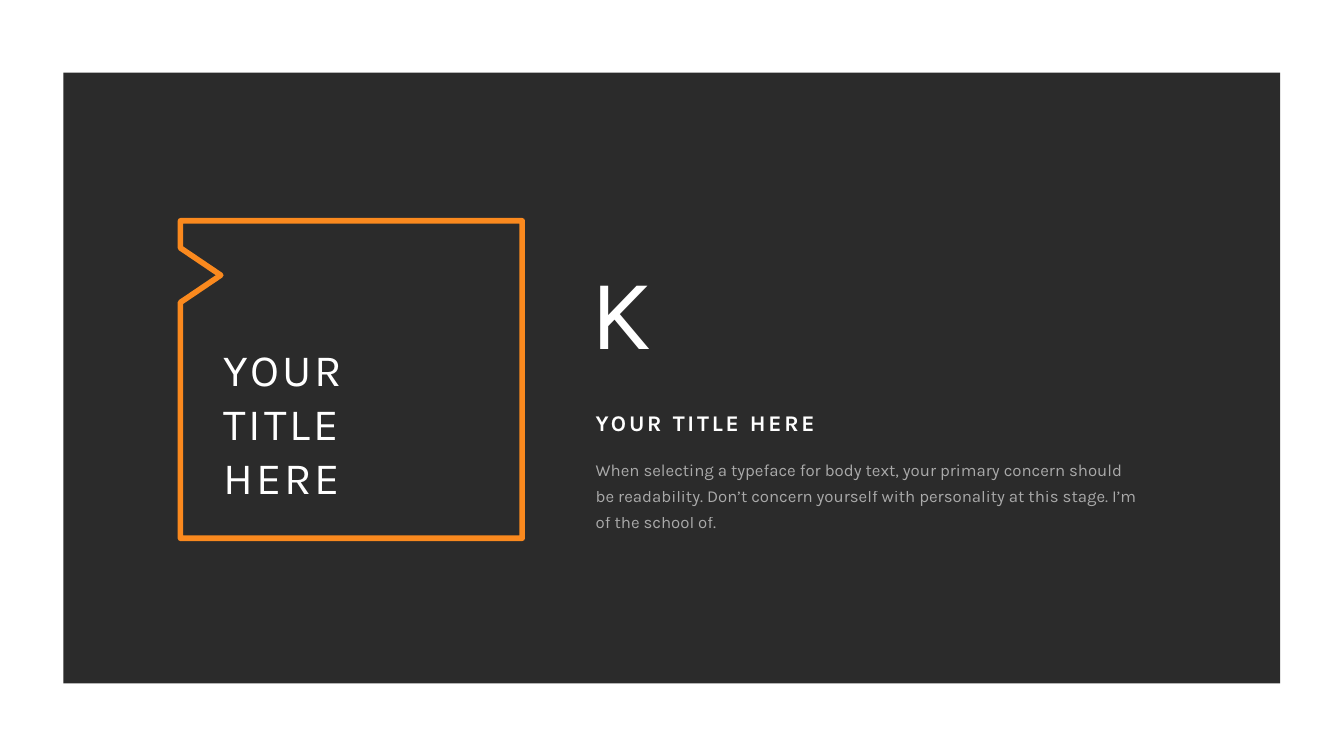
import pptx
import pptx.util
import pptx.dml.color
import pptx.enum.shapes
import pptx.enum.text
import lxml.etree

COLOURS = {"panel": "2B2B2B", "accent": "FA891E", "text": "FFFFFF"}
FONT = "Karla"
CELL = pptx.util.Inches(0.1)  # the grid has square cells
COLUMNS, ROWS = 133.33, 75


def cells(*counts):
    return [round(count * CELL) for count in counts]


def colour(name):
    return pptx.dml.color.RGBColor.from_string(COLOURS[name])


deck = pptx.Presentation()
deck.slide_width, deck.slide_height = cells(COLUMNS, ROWS)
page = deck.slides.add_slide(deck.slide_layouts[1])
title, body = page.placeholders

# Dark panel
panel = page.shapes.add_shape(
    pptx.enum.shapes.MSO_SHAPE.RECTANGLE, *cells(6.3, 7.2, 120.7, 60.6))
panel.fill.solid()
panel.fill.fore_color.rgb = colour("panel")
panel.line.fill.background()
panel.shadow.inherit = False

# Notched frame around the title
left, top, right, bottom = 17.9, 21.9, 51.8, 53.4
notch_top, notch_depth, notch_half = 24.6, 4, 2.7
outline = [
    (right, top), (right, bottom), (left, bottom),
    (left, notch_top + 2 * notch_half),
    (left + notch_depth, notch_top + notch_half),
    (left, notch_top),
]
builder = page.shapes.build_freeform(*cells(left, top))
builder.add_line_segments([cells(*point) for point in outline], close=True)
frame = builder.convert_to_shape()
frame.fill.background()
frame.line.color.rgb = colour("accent")
frame.line.width = pptx.util.Pt(4)
frame.shadow.inherit = False

# Texts, stacked above the panel
heading = page.shapes.add_textbox(0, 0, 0, 0)
letter = page.shapes.add_textbox(0, 0, 0, 0)
texts = [
    {"box": title, "at": (21.2, 33.4, 19.8, 17.2), "words": "YOUR TITLE HERE",
     "size": 32, "tracking": 2},
    {"box": body, "at": (58.1, 44.5, 56.1, 8.9),
     "words": "When selecting a typeface for body text, your primary concern "
              "should be readability. Don’t concern yourself with personality "
              "at this stage. I’m of the school of.",
     "size": 12, "spacing": 1.3, "opacity": 60},
    {"box": heading, "at": (58.1, 40.4, 56.1, 4.1), "words": "YOUR TITLE HERE",
     "size": 16, "spacing": 0.9, "bold": True, "tracking": 2},
    {"box": letter, "at": (57.6, 24.2, 8.4, 13.1), "words": "K",
     "size": 72, "wrap": False},
]
for text in texts:
    box = text["box"]
    box.left, box.top, box.width, box.height = cells(*text["at"])
    page.shapes.element.append(box.element)

    frame_format = {
        "word_wrap": text.get("wrap", True),
        "auto_size": pptx.enum.text.MSO_AUTO_SIZE.NONE,
        "vertical_anchor": pptx.enum.text.MSO_ANCHOR.TOP,
    }
    for name, value in frame_format.items():
        setattr(box.text_frame, name, value)

    para = box.text_frame.paragraphs[0]
    properties = para._p.get_or_add_pPr()
    properties.set("marL", "0")
    properties.set("indent", "0")
    lxml.etree.SubElement(properties, pptx.oxml.ns.qn("a:buNone"))
    para_format = {
        "alignment": pptx.enum.text.PP_ALIGN.LEFT,
        "line_spacing": text.get("spacing", 1.0),
        "space_before": pptx.util.Pt(0),
    }
    for name, value in para_format.items():
        setattr(para, name, value)

    span = para.add_run()
    span.text = text["words"]
    font_format = {
        "name": FONT,
        "size": pptx.util.Pt(text["size"]),
        "bold": text.get("bold", False),
    }
    for name, value in font_format.items():
        setattr(span.font, name, value)
    span.font.color.rgb = colour("text")

    # Letter spacing and transparency
    run_properties = span.font._element
    run_properties.set("spc", str(text.get("tracking", 0) * 100))
    if "opacity" in text:
        tint = run_properties.find(".//" + pptx.oxml.ns.qn("a:srgbClr"))
        alpha = lxml.etree.SubElement(tint, pptx.oxml.ns.qn("a:alpha"))
        alpha.set("val", str(text["opacity"] * 1000))

deck.save("out.pptx")
